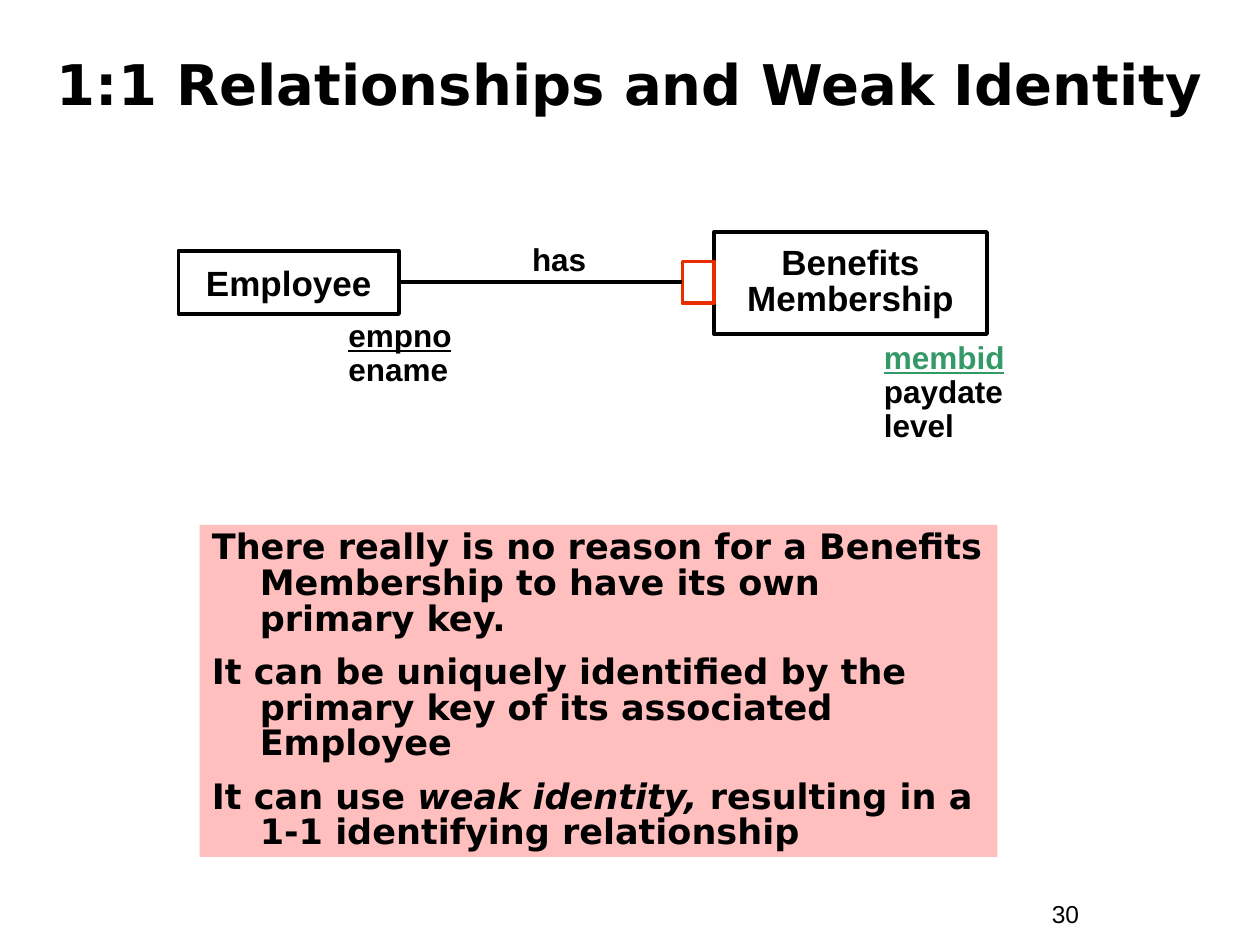
from pptx import Presentation, util as u
from pptx.dml.color import RGBColor
from pptx.enum import shapes, text
from pptx.oxml import parse_xml
from pptx.oxml.ns import nsdecls

BLACK, GREEN, RED, PINK = "000000", "339966", "EA2D00", "FFBFBF"
COLUMNS, ROWS = 120, 90
CENTER = text.PP_ALIGN.CENTER
MIDDLE = text.MSO_ANCHOR.MIDDLE


def color(hex_value):
    return RGBColor.from_string(hex_value)


class Page:
    """Holds the style and the current slide; lengths are grid columns and rows."""
    heading_font, diagram_font = "DejaVu Sans", "Arial"
    line_width = u.Pt(2.25)

    def __init__(self, deck):
        deck.slide_width, deck.slide_height = u.Inches(10), u.Inches(7.5)
        self.column = deck.slide_width / COLUMNS
        self.row = deck.slide_height / ROWS
        self.slide = deck.slides.add_slide(deck.slide_layouts[6])

    def place(self, left, top, width, height):
        return (round(left * self.column), round(top * self.row),
                round(width * self.column), round(height * self.row))

    def box(self, at, line=None, fill=None):
        shape = self.slide.shapes.add_shape(
            shapes.MSO_SHAPE.RECTANGLE, *self.place(*at))
        shape.shadow.inherit = False
        if fill:
            shape.fill.solid()
            shape.fill.fore_color.rgb = color(fill)
        else:
            shape.fill.background()
        if line:
            shape.line.color.rgb = color(line)
            shape.line.width = self.line_width
        else:
            shape.line.fill.background()
        return shape

    def label(self, at, paragraphs, **style):
        area = self.slide.shapes.add_textbox(*self.place(*at))
        self.set_text(area, paragraphs, **style)

    def set_text(self, shape, paragraphs, size=18, font=None, bold=True,
                 align=text.PP_ALIGN.LEFT, anchor=text.MSO_ANCHOR.TOP,
                 spacing=None, gap=0, hanging=0, wrap=True, key_color=None):
        """A paragraph is a string or (words, italic) pairs; a key color marks the first."""
        frame = shape.text_frame
        frame.word_wrap = wrap
        frame.vertical_anchor = anchor
        for index, pieces in enumerate(paragraphs):
            paragraph = frame.add_paragraph() if index else frame.paragraphs[0]
            if isinstance(pieces, str):
                paragraph.text = pieces
            else:
                for words, italic in pieces:
                    run = paragraph.add_run()
                    run.text = words
                    if italic:
                        run.font.italic = True
            paragraph.alignment = align
            paragraph.line_spacing = spacing
            if index and gap:
                paragraph.space_before = u.Pt(gap)
            if hanging:
                properties = paragraph._p.get_or_add_pPr()
                properties.set("marL", str(u.Inches(hanging)))
                properties.set("indent", str(-u.Inches(hanging)))
            is_key = key_color and index == 0
            paragraph.font.name = font or self.diagram_font
            paragraph.font.size = u.Pt(size)
            paragraph.font.bold = bold
            paragraph.font.color.rgb = color(key_color if is_key else BLACK)
            if is_key:
                paragraph.font.underline = True

    def entity(self, at, name, spacing=None):
        shape = self.box(at, line=BLACK)
        self.set_text(shape, [name], size=20, align=CENTER, anchor=MIDDLE,
                      spacing=spacing, wrap=False)
        return shape

    def attributes(self, at, names, key_color=BLACK):
        self.label(at, names, spacing=0.9, key_color=key_color)

    def relationship(self, start, end):
        line = self.slide.shapes.add_connector(
            shapes.MSO_CONNECTOR.STRAIGHT, 0, 0, 0, 0)
        line.begin_connect(start, 3)
        line.end_connect(end, 1)
        line.line.color.rgb = color(BLACK)
        line.line.width = self.line_width
        line._element.spPr.append(parse_xml(f"<a:effectLst {nsdecls('a')}/>"))


def main():
    deck = Presentation()
    page = Page(deck)

    # Page number and title
    page.label((99, 85, 11, 4), ["30"], size=14, bold=False)
    page.label((4, 3, 112, 11), ["1:1 Relationships and Weak Identity"], size=32,
               font=page.heading_font, align=CENTER, anchor=MIDDLE, spacing=0.8)

    # Explanation panel
    explanation = page.box((19, 50, 76, 31.6), fill=PINK)
    page.set_text(explanation, [
        "There really is no reason for a Benefits Membership to have its own "
        "primary key.",
        "It can be uniquely identified by the primary key of its associated Employee",
        [("It can use ", False), ("weak identity, ", True),
         ("resulting in a 1-1 identifying relationship", False)],
    ], size=20, font=page.heading_font, spacing=0.85, gap=10, hanging=0.38)

    # Entities, weak identity marker and the relationship between them
    employee = page.entity((17, 23.9, 21, 6), "Employee")
    page.entity((68, 22.1, 26, 9.7), "Benefits\vMembership", spacing=0.85)
    weak_marker = page.box((65, 24.9, 3, 4), line=RED)
    page.relationship(employee, weak_marker)
    page.label((42, 22.3, 22.5, 4.8), ["has"], align=CENTER)

    # Attributes, with the key first
    page.attributes((32, 29.9, 14, 7.7), ["empno", "ename"])
    page.attributes((83, 32, 14, 10.9), ["membid", "paydate", "level"], GREEN)

    deck.save("out.pptx")


if __name__ == "__main__":
    main()
